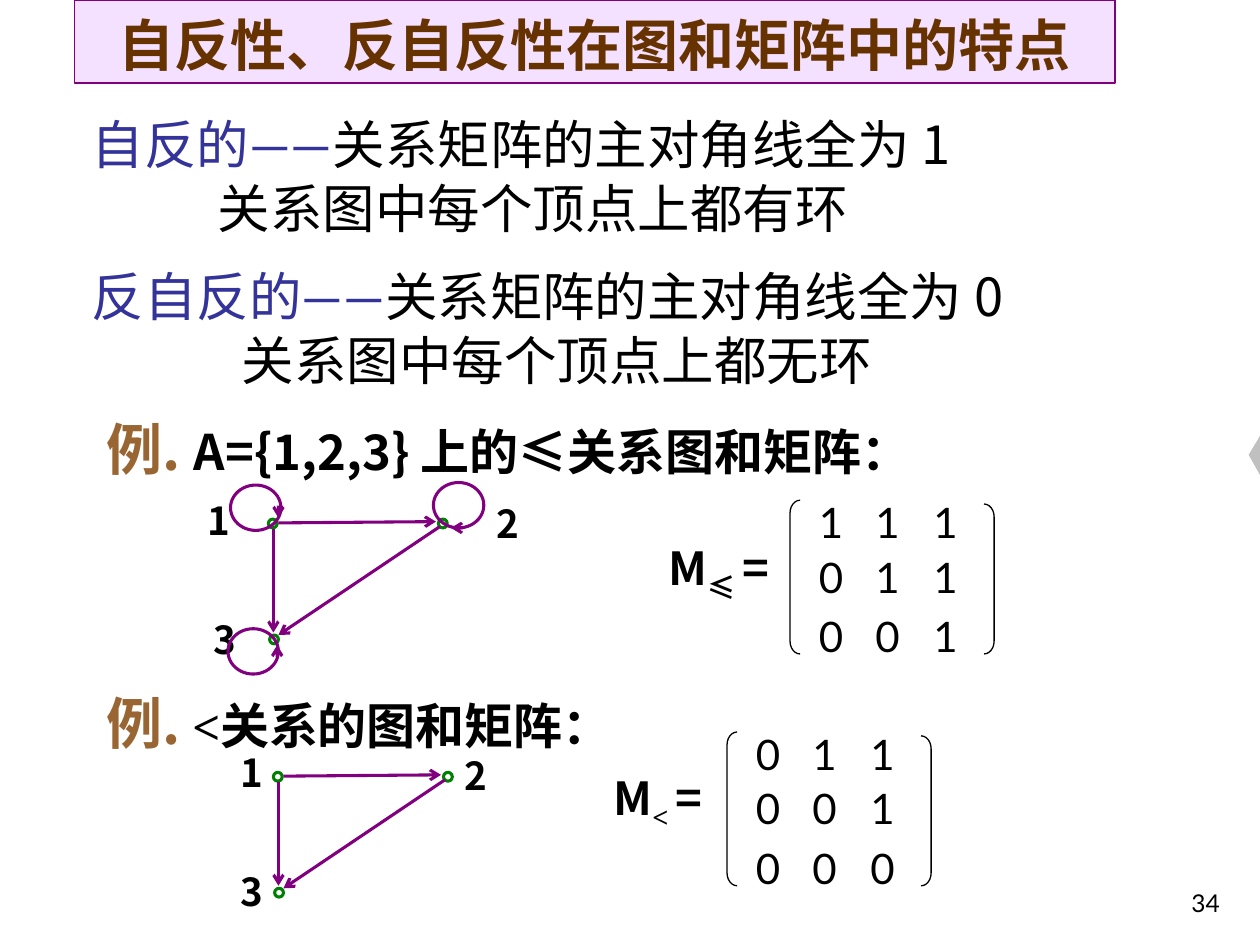
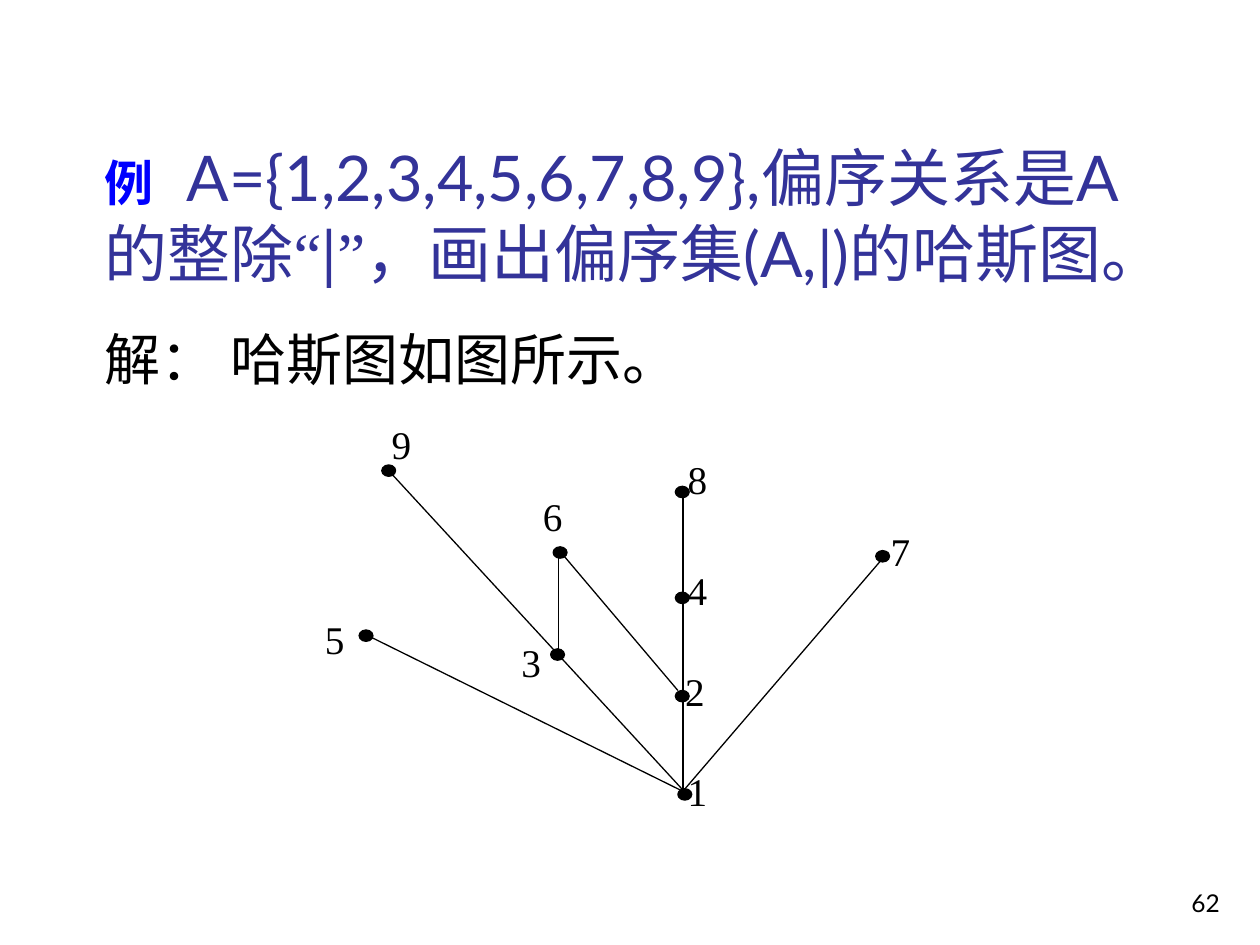
from pptx import Presentation
from pptx.dml.color import RGBColor
from pptx.enum.shapes import MSO_CONNECTOR, MSO_SHAPE as SHAPE
from pptx.enum.text import MSO_ANCHOR as ANCHOR, MSO_AUTO_SIZE, PP_ALIGN as ALIGN
from pptx.oxml.ns import qn
from pptx.util import Inches, Pt
from lxml.etree import SubElement

# Shared look
CJK, LATO, TIMES = "Noto Sans CJK SC", "Lato", "Times New Roman"
BLACK, WHITE, NAVY, PURPLE, GREEN = "000000", "FFFFFF", "333399", "800080", "008000"
BROWN, TAN, LILAC, GREY, BLUE = "663300", "996633", "F4E1FF", "C0C0C0", "0000FF"
HEAD = dict(size=32, name=CJK, color=BROWN, bold=True)
BODY = dict(size=30, name=CJK)
TERM = dict(BODY, color=NAVY)
DASH = dict(TERM, name=LATO)
EXAMPLE = dict(size=32, name=CJK, color=TAN, bold=True)
CLAIM = dict(size=28, name=CJK, bold=True)
MATRIX_NAME = dict(size=26, name=CJK, bold=True)
NODE = dict(size=22, name=CJK, bold=True)
ENTRY = dict(size=24, name=LATO)
HASSE = dict(size=22.4, name=TIMES)
TASK = dict(size=36, name=LATO, color=NAVY, bold=False)
QUOTE = dict(TASK, name=TIMES)
PAGE = dict(size=14, name=LATO)

# Slide 1: definitions, each paragraph as (runs, paragraph format)
TITLE = "自反性、反自反性在图和矩阵中的特点"
DEFINITIONS = [
    ([("自反的", TERM), ("——", DASH), ("关系矩阵的主对角线全为 1", BODY)],
     dict(left=0.1, line=Pt(38))),
    ([("关系图中每个顶点上都有环", BODY)], dict(left=1.1, line=Pt(36.5))),
    ([("反自反的", TERM), ("——", DASH), ("关系矩阵的主对角线全为 0", BODY)],
     dict(left=0.1, line=Pt(36.5), before=14)),
    ([("关系图中每个顶点上都无环", BODY)], dict(left=1.29, line=Pt(36.5))),
]

# Slide 1: the two examples
EXAMPLES = [
    dict(heading=[("例. ", EXAMPLE), ("A={1,2,3} 上的≤关系图和矩阵：", CLAIM)], top=3.22,
         symbol=("≤ ", dict(CLAIM, baseline=-25)), symbol_at=(5.21, 4.16),
         matrix=["111", "011", "001"], matrix_at=(6.27, 3.97),
         shift=(0, 0), loops=True,
         nodes={"1": (1.55, 3.87), "2": (3.84, 3.9), "3": (1.6, 4.82)}),
    dict(heading=[("例.", EXAMPLE), (" ", CLAIM), ("<", dict(CLAIM, name=TIMES)),
                  ("关系的图和矩阵：", CLAIM)], top=5.39,
         symbol=("< ", dict(CLAIM, name=TIMES, baseline=-25)), symbol_at=(4.77, 5.98),
         matrix=["011", "001", "000"], matrix_at=(5.77, 5.81),
         shift=(0.04, 2.01), loops=False,
         nodes={"1": (1.81, 5.87), "2": (3.59, 5.9), "3": (1.81, 6.82)}),
]
VERTICES = [(2.13, 4.12), (2.14, 5.04), (3.48, 4.12)]
EDGES = [((2.17, 4.2), (2.17, 5.02)), ((2.21, 4.15), (3.46, 4.14)), ((3.49, 4.18), (2.21, 5.04))]
LOOPS = [((1.83, 3.85), (2.21, 4.02), (2.21, 4.11)),
         ((1.81, 4.99), (2.2, 5.2), (2.2, 5.12)),
         ((3.44, 3.83), (3.67, 4.19), (3.58, 4.19))]
ROW_FORMATS = [{}, dict(line=0.5, before=15), dict(line=0.7, before=15)]

# Slide 2: task, answer and Hasse diagram as {number: (label corner, dot corner)}
QUESTION = [("例\t", dict(size=28, name=LATO, color=BLUE, bold=True)),
            ("A={1,2,3,4,5,6,7,8,9},偏序关系是A的整除", TASK), ("“", QUOTE), ("|", TASK),
            ("”", QUOTE), ("，画出偏序集(A,|)的哈斯图。", TASK)]
ANSWER = [("解： 哈斯图如图所示。", dict(size=32, name="Roboto"))]
ELEMENTS = {
    "5": ((2.48, 4.91), (2.85, 5)), "9": ((3.01, 3.36), (3.03, 3.69)),
    "6": ((4.21, 3.93), (4.39, 4.34)), "3": ((4.04, 5.09), (4.37, 5.15)),
    "7": ((6.97, 4.21), (6.95, 4.37)), "8": ((5.36, 3.64), (5.36, 3.86)),
    "4": ((5.36, 4.52), (5.36, 4.7)), "2": ((5.34, 5.32), (5.36, 5.48)),
    "1": ((5.36, 6.11), (5.38, 6.26)),
}
COVERS = [((5.42, 3.89), (5.42, 6.27)), ((7.05, 4.38), (5.42, 6.28)), ((3.08, 3.73), (5.42, 6.27)),
          ((4.44, 4.37), (5.38, 5.48)), ((4.43, 4.37), (4.43, 5.16)), ((2.89, 5.03), (5.46, 6.3))]


def rgb(color):
    return RGBColor.from_string(color)


def paint(sp, fill=None, line=None, width=0.75):
    if fill:
        sp.fill.solid()
        sp.fill.fore_color.rgb = rgb(fill)
    else:
        sp.fill.background()
    if line:
        sp.line.color.rgb = rgb(line)
        sp.line.width = Pt(width)
    else:
        sp.line.fill.background()


def write(sp, paragraphs, anchor=ANCHOR.TOP):
    """Fill a shape with paragraphs given as (runs, paragraph format)."""
    tf = sp.text_frame
    frame = dict(word_wrap=True, auto_size=MSO_AUTO_SIZE.NONE, vertical_anchor=anchor,
                 margin_left=Inches(0.1), margin_right=Inches(0.1),
                 margin_top=Inches(0.05), margin_bottom=Inches(0.05))
    for key, value in frame.items():
        setattr(tf, key, value)
    for i, (runs, fmt) in enumerate(paragraphs):
        p = tf.paragraphs[0] if i == 0 else tf.add_paragraph()
        layout = dict(alignment=fmt.get("align", ALIGN.LEFT), line_spacing=fmt.get("line", 1.0),
                      space_before=Pt(fmt.get("before", 0)))
        for key, value in layout.items():
            setattr(p, key, value)
        pPr = p._p.get_or_add_pPr()
        if "left" in fmt:
            pPr.set("marL", str(Inches(fmt["left"])))
            pPr.set("indent", "0")
        if "tabs" in fmt:
            stops = SubElement(pPr, qn("a:tabLst"))
            for pos in fmt["tabs"]:
                SubElement(stops, qn("a:tab"), pos=str(Inches(pos)), algn="l")
        for text, style in runs:
            r = p.add_run()
            r.text = text
            font = dict(size=Pt(style["size"]), name=style["name"], bold=style.get("bold", False))
            for key, value in font.items():
                setattr(r.font, key, value)
            r.font.color.rgb = rgb(style.get("color", BLACK))
            rPr = r._r.get_or_add_rPr()
            SubElement(rPr, qn("a:ea"), typeface=style["name"])
            if "baseline" in style:
                rPr.set("baseline", str(style["baseline"] * 1000))


def add_text(s, x, y, w, h, paragraphs, anchor=ANCHOR.TOP):
    write(s.shapes.add_textbox(*map(Inches, (x, y, w, h))), paragraphs, anchor)


def add_shape(s, kind, x, y, w, h, **look):
    sp = s.shapes.add_shape(kind, *map(Inches, (x, y, w, h)))
    sp.shadow.inherit = False
    paint(sp, **look)
    return sp


def add_line(s, start, end, color=BLACK, width=0.75, arrow=False):
    c = s.shapes.add_connector(MSO_CONNECTOR.STRAIGHT, *map(Inches, (*start, *end)))
    c.line.color.rgb = rgb(color)
    c.line.width = Pt(width)
    if arrow:
        SubElement(c.line._get_or_add_ln(), qn("a:tailEnd"), type="arrow")
    SubElement(c._element.spPr, qn("a:effectLst"))


def set_title(s, x, y, w, h, runs, anchor=ANCHOR.TOP, **fmt):
    title = s.shapes.title
    for key, value in dict(left=x, top=y, width=w, height=h).items():
        setattr(title, key, Inches(value))
    write(title, [(runs, fmt)], anchor)
    return title


def new_slide(prs, number):
    s = prs.slides.add_slide(prs.slide_layouts[5])
    add_text(s, 7.7, 6.83, 2.08, 0.5, [([(number, PAGE)], dict(align=ALIGN.RIGHT))], ANCHOR.BOTTOM)
    return s


def add_relation_graph(s, ex):
    dx, dy = ex["shift"]

    def moved(point):
        return point[0] + dx, point[1] + dy

    stroke = dict(color=PURPLE, width=1.75, arrow=True)
    for vertex in VERTICES:
        add_shape(s, SHAPE.OVAL, *moved(vertex), 0.07, 0.07, line=GREEN, width=1.75)
    for start, end in EDGES:
        add_line(s, moved(start), moved(end), **stroke)
    for label, (x, y) in ex["nodes"].items():
        add_text(s, x, y, 0.4, 0.47, [([(label, NODE)], dict(line=Pt(28)))])
    for corner, start, end in LOOPS if ex["loops"] else []:
        add_shape(s, SHAPE.OVAL, *corner, 0.4, 0.36, line=PURPLE, width=1.75)
        add_line(s, start, end, **stroke)


def add_matrix(s, ex):
    x, y = ex["matrix_at"]
    name = [("M", MATRIX_NAME), ex["symbol"], ("=", MATRIX_NAME)]
    add_text(s, *ex["symbol_at"], 1.4, 0.69, [(name, dict(line=Pt(42)))])
    rows = [([("\t".join(row), ENTRY)], dict(fmt, tabs=(0.45, 0.91)))
            for row, fmt in zip(ex["matrix"], ROW_FORMATS)]
    add_text(s, x + 0.13, y - 0.08, 1.63, 1.4, rows)
    for kind, dx, dy, h in ((SHAPE.LEFT_BRACKET, 0, 0, 1.22), (SHAPE.RIGHT_BRACKET, 1.54, 0.03, 1.19)):
        bracket = add_shape(s, kind, x + dx, y + dy, 0.08, h, line=BLACK)
        bracket.adjustments[0] = 1.27


def build_properties(prs):
    s = new_slide(prs, "34")
    band = set_title(s, 0.59, 0, 8.26, 0.66, [(TITLE, HEAD)], align=ALIGN.CENTER, line=Pt(41))
    paint(band, fill=LILAC, line=PURPLE)
    add_text(s, 0.53, 0.81, 9.47, 2.5, DEFINITIONS)
    for ex in EXAMPLES:
        add_text(s, 0.75, ex["top"], 7.88, 0.7, [(ex["heading"], dict(line=Pt(40)))])
        add_relation_graph(s, ex)
        add_matrix(s, ex)
    # Grey marker on the right edge
    marker = s.shapes.build_freeform(Inches(10), Inches(3.46))
    marker.add_line_segments([(Inches(9.91), Inches(3.61)), (Inches(10), Inches(3.77))], close=True)
    sp = marker.convert_to_shape()
    sp.shadow.inherit = False
    paint(sp, fill=GREY)


def build_hasse(prs):
    s = new_slide(prs, "62")
    set_title(s, 0.73, 0.44, 8.57, 1.91, QUESTION, ANCHOR.BOTTOM, tabs=(0.65,))
    add_text(s, 0.73, 2.53, 4.8, 0.64, [(ANSWER, {})])
    for number, (corner, _) in ELEMENTS.items():
        label = add_shape(s, SHAPE.RECTANGLE, *corner, 0.47, 0.48, fill=WHITE)
        write(label, [([(number, HASSE)], dict(align=ALIGN.JUSTIFY, line=0.8))])
    for _, dot in ELEMENTS.values():
        add_shape(s, SHAPE.OVAL, *dot, 0.11, 0.09, fill=BLACK, line=BLACK)
    for start, end in COVERS:
        add_line(s, start, end)


def main():
    prs = Presentation()
    prs.slide_width, prs.slide_height = Inches(10), Inches(7.5)
    build_properties(prs)
    build_hasse(prs)
    prs.save("out.pptx")


if __name__ == "__main__":
    main()
